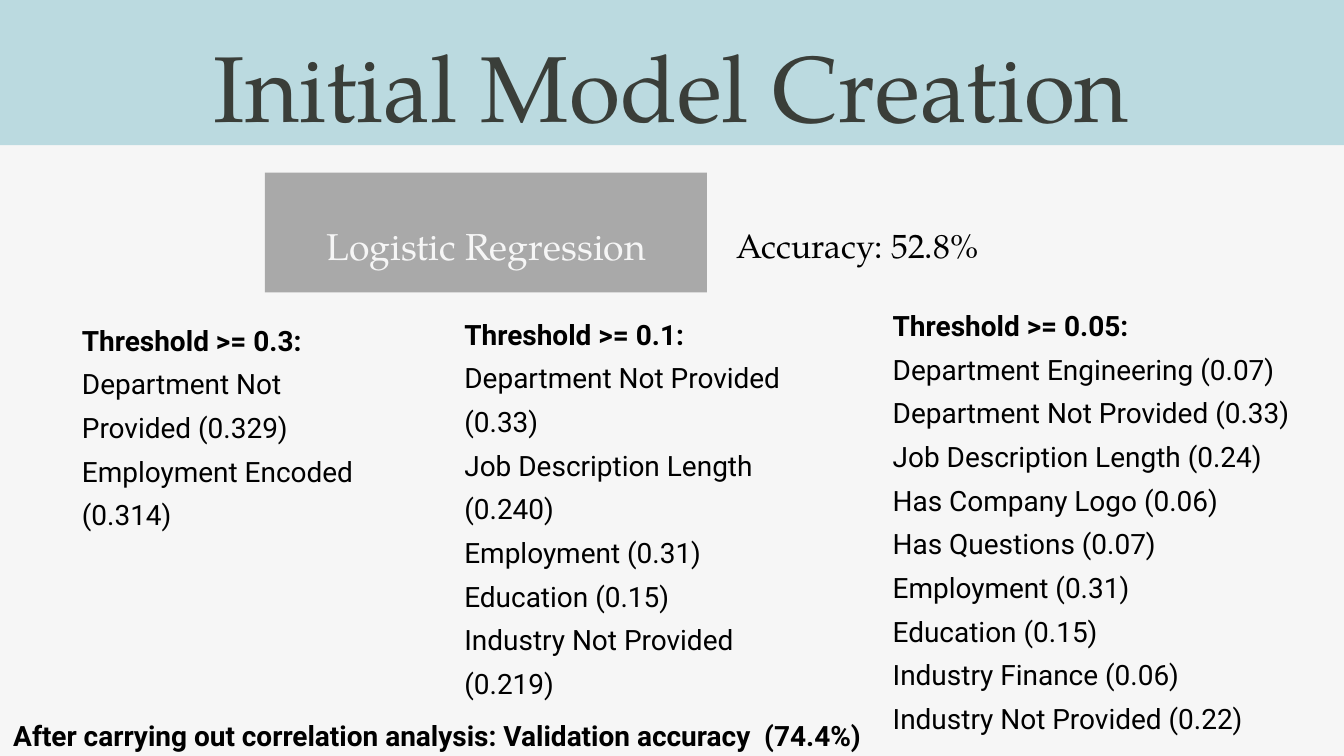
from pptx import Presentation
from pptx.dml.color import RGBColor
from pptx.enum.shapes import MSO_SHAPE as Shape
from pptx.enum.text import MSO_AUTO_SIZE as AutoSize, PP_ALIGN as Align
from pptx.util import Inches, Pt

# The grid has square cells on a 16:9 slide: 100 columns by 56.25 rows
COLUMNS, ROWS = 100, 56.25
CELL = Inches(10) / COLUMNS

SERIF, SANS = "TeX Gyre Pagella", "Roboto"
PAPER, BANNER, PANEL = "F6F6F6", "BBDAE0", "A9A9A9"
TITLE_INK, INK = "3A3E39", "000000"

# Selected features: grid position and size, heading, entries
THRESHOLDS = [
    ((34.05, 22.37, 25.1, 36.4), "Threshold >= 0.1:", [
        "Department Not Provided (0.33)",
        "Job Description Length (0.240)",
        "Employment (0.31)",
        "Education (0.15)",
        "Industry Not Provided (0.219)",
    ]),
    ((65.92, 21.73, 34.1, 32), "Threshold >= 0.05:", [
        "Department Engineering (0.07)",
        "Department Not Provided (0.33)",
        "Job Description Length (0.24)",
        "Has Company Logo (0.06)",
        "Has Questions (0.07)",
        "Employment (0.31)",
        "Education (0.15)",
        "Industry Finance (0.06)",
        "Industry Not Provided (0.22)",
    ]),
    ((5.6, 22.8, 21.7, 23.2), "Threshold >= 0.3:", [
        "Department Not Provided (0.329)",
        "Employment Encoded (0.314)",
    ]),
]


def color(hex_string):
    return RGBColor.from_string(hex_string)


def on_grid(cells):
    return [round(cell * CELL) for cell in cells]


def add_block(slide, cells, fill):
    block = slide.shapes.add_shape(Shape.RECTANGLE, *on_grid(cells))
    block.shadow.inherit = False
    block.fill.solid()
    block.fill.fore_color.rgb = color(fill)
    block.line.fill.background()


def add_text(slide, cells, lines, size, font=SANS, ink=INK, inset=0.05,
             spacing=1.3, align=Align.LEFT, bold_first=False):
    frame = slide.shapes.add_textbox(*on_grid(cells)).text_frame
    frame.word_wrap = True
    frame.auto_size = AutoSize.SHAPE_TO_FIT_TEXT
    frame.margin_left = frame.margin_right = Inches(inset)
    frame.margin_top = frame.margin_bottom = Inches(inset)
    frame.text = "\n".join(lines)
    for index, paragraph in enumerate(frame.paragraphs):
        paragraph.alignment = align
        paragraph.line_spacing = spacing
        for run in paragraph.runs:
            run.font.name = font
            run.font.size = Pt(size)
            run.font.bold = bold_first and index == 0
            run.font.color.rgb = color(ink)


def main():
    deck = Presentation()
    deck.slide_width, deck.slide_height = on_grid((COLUMNS, ROWS))
    slide = deck.slides.add_slide(deck.slide_layouts[6])
    slide.background.fill.solid()
    slide.background.fill.fore_color.rgb = color(PAPER)

    # Title banner
    add_block(slide, (0, -0.9, COLUMNS, 11.7), BANNER)
    add_text(slide, (11.35, 0.5, 77.3, 8.4), ["Initial Model Creation"], 50,
             SERIF, TITLE_INK, inset=0, spacing=1.2, align=Align.CENTER)

    # Model and its accuracy
    add_block(slide, (19.7, 12.85, 32.9, 8.9), PANEL)
    add_text(slide, (23.43, 15.1, 25.5, 4.4), ["Logistic Regression"], 20,
             SERIF, PAPER, align=Align.CENTER)
    add_text(slide, (54.33, 15.35, 25.9, 4), ["Accuracy: 52.8%"], 18, SERIF)

    # Features kept at each threshold
    for cells, heading, features in THRESHOLDS:
        add_text(slide, cells, [heading, *features], 15, bold_first=True)

    # Conclusion
    conclusion = ("After carrying out correlation analysis: "
                  "Validation accuracy  (74.4%)")
    add_text(slide, (0, 51.74, 72.4, 7.7), [conclusion], 15, inset=0.1,
             bold_first=True)

    deck.save("out.pptx")


if __name__ == "__main__":
    main()
